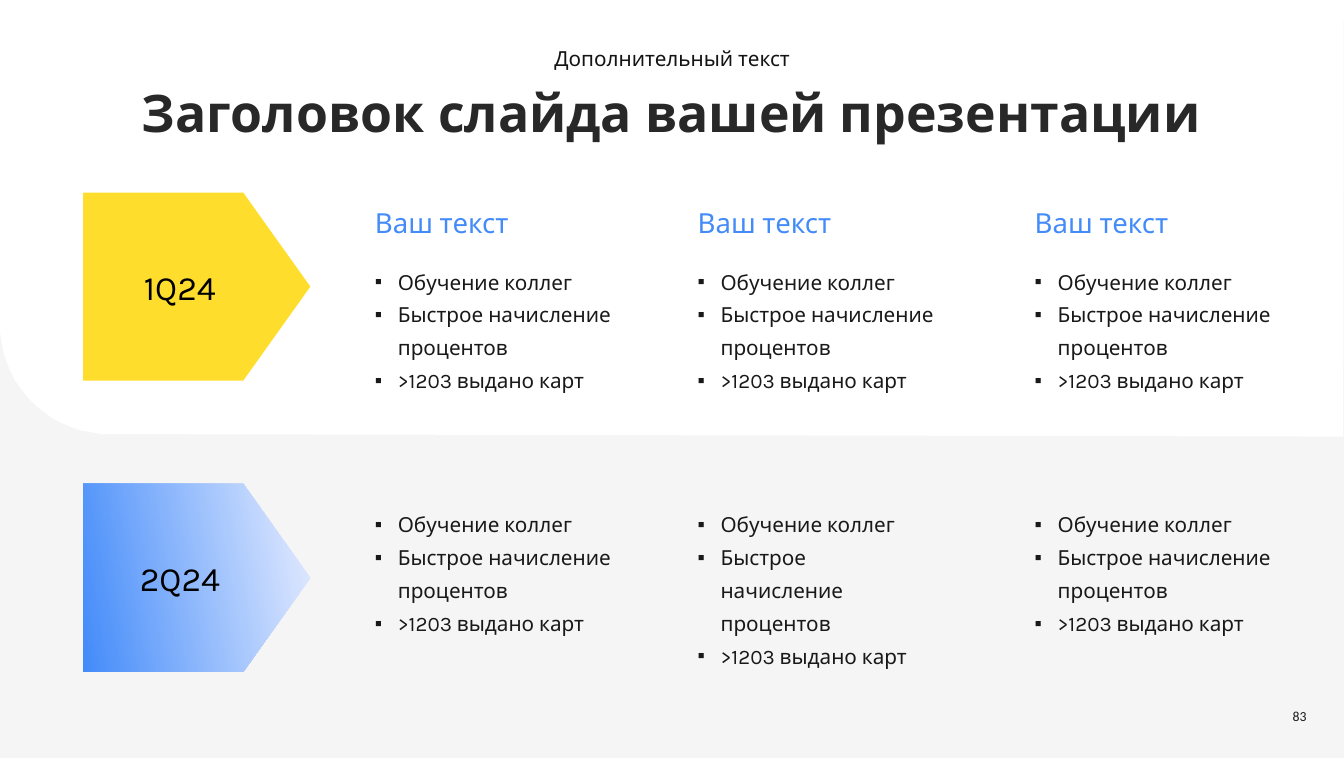
from lxml import etree
from pptx import Presentation
from pptx import util as u
from pptx.dml.color import RGBColor
from pptx.enum import shapes, text
from pptx.oxml.ns import qn

# Content
NOTE = "Дополнительный текст"
TITLE = "Заголовок слайда вашей презентации"
HEAD = "Ваш текст"
ITEMS = ["Обучение коллег", "Быстрое начисление процентов", ">1203 выдано карт"]
PAGE = "83"

YELLOW = RGBColor(0xFF, 0xDD, 0x2C)
BLUE = RGBColor(0x43, 0x8B, 0xF9)
PALE = RGBColor(0xE5, 0xEC, 0xFF)
GRAY = RGBColor(0xF5, 0xF5, 0xF6)
WHITE = RGBColor(0xFF, 0xFF, 0xFF)
BLACK = RGBColor(0, 0, 0)
INK = RGBColor(0x1A, 0x19, 0x19)
DARK = RGBColor(0x28, 0x28, 0x28)
SOFT = RGBColor(0x14, 0x14, 0x14)

# Layout in px, 100 to the inch, on a page of 55 by 31 cm
PX = 9144
WIDE = 2165
COLS = [598, 1118, 1661]
ROWS = [  # label, arrow fill, arrow top, list top, list widths
    ("1Q24", [YELLOW], 310, 416, [463, 464, 444]),
    ("2Q24", [PALE, BLUE], 779, 807, [434, 391, 410]),
]
CORNER = [(176, 699), (79, 699), (0, 620), (0, 523)]
STEPS = 24


def place(shape, *box):
    shape.left, shape.top, shape.width, shape.height = [n * PX for n in box]
    return shape


def write(shape, lines, size=24, color=INK, font="Karla", bold=False, align="LEFT",
          anchor="MIDDLE", inset=None, gap=None, bullet=False):
    frame = shape.text_frame
    frame.word_wrap = True
    frame.auto_size = text.MSO_AUTO_SIZE.NONE
    frame.vertical_anchor = text.MSO_ANCHOR[anchor]
    if inset is not None:
        frame.margin_left = frame.margin_right = inset * PX
        frame.margin_top = frame.margin_bottom = inset * PX
    for i, line in enumerate(lines):
        para = frame.add_paragraph() if i else frame.paragraphs[0]
        para.alignment = text.PP_ALIGN[align]
        para.space_before = u.Pt(0)
        if gap:
            para.line_spacing = u.Pt(gap)
        if bullet:
            props = para._p.get_or_add_pPr()
            props.set("marL", str(38 * PX))
            props.set("indent", str(-37 * PX))
            etree.SubElement(props, qn("a:buFont")).set("typeface", "Arial")
            etree.SubElement(props, qn("a:buChar")).set("char", "▪")
        run = para.add_run()
        run.text = line
        run.font.name, run.font.size, run.font.bold = font, u.Pt(size), bold
        run.font.color.rgb = color


def paint(shape, colors):
    shape.shadow.inherit = False
    shape.line.fill.background()
    if len(colors) == 1:
        shape.fill.solid()
        shape.fill.fore_color.rgb = colors[0]
    else:
        shape.fill.gradient()
        shape.fill.gradient_angle = 190
        for stop, color in zip(shape.fill.gradient_stops, colors):
            stop.color.rgb = color


def curve(pts, t):
    weights = [(1 - t) ** 3, 3 * t * (1 - t) ** 2, 3 * t * t * (1 - t), t ** 3]
    return tuple(sum(w * p[k] for w, p in zip(weights, pts)) for k in (0, 1))


deck = Presentation()
deck.slide_width, deck.slide_height = u.Cm(55), u.Cm(31)
layout = deck.slide_layouts[1]
slide = deck.slides.add_slide(layout)
slide.background.fill.solid()
slide.background.fill.fore_color.rgb = GRAY
title, body = slide.placeholders
body.element.getparent().remove(body.element)
model = layout.placeholders[1]


def label(box, lines, **form):
    shape = slide.shapes.add_textbox(*[n * PX for n in box])
    write(shape, lines, **form)


# White panel with one rounded corner
pen = slide.shapes.build_freeform(0, 0, scale=PX)
edge = [curve(CORNER, n / STEPS) for n in range(STEPS + 1)]
pen.add_line_segments([(WIDE, 0), (2164, 703)] + edge, close=True)
panel = pen.convert_to_shape()
paint(panel, [WHITE])
slide.shapes._spTree.insert(2, panel.element)

# Title and top line
write(place(title, 145, 125, 1874, 111), [TITLE], size=60, color=DARK, bold=True,
      align="CENTER", anchor="TOP")
label((416, 68, 1334, 52), [NOTE], color=SOFT, align="CENTER")

# Column heads
for x in COLS:
    label((x + 1, 310, 451, 96), [HEAD], size=32, color=BLUE, inset=5, gap=39.4)

# Quarter arrows with their lists
for name, colors, top, y, widths in ROWS:
    arrow = slide.shapes.add_shape(shapes.MSO_SHAPE.PENTAGON,
                                   *[n * PX for n in (134, top, 366, 303)])
    arrow.adjustments[0] = 0.357
    paint(arrow, colors)
    write(arrow, [name], size=39.4, color=BLACK, align="CENTER", inset=5)
    for x, w in zip(COLS, widths):
        slide.shapes.clone_placeholder(model)
        points = place(slide.shapes[-1], x, y, w, 223)
        write(points, ITEMS, anchor="TOP", inset=5, gap=38, bullet=True)

# Page number
label((1998, 1129, 117, 47), [PAGE], size=16, font="Calibri", align="RIGHT")

deck.save("out.pptx")
